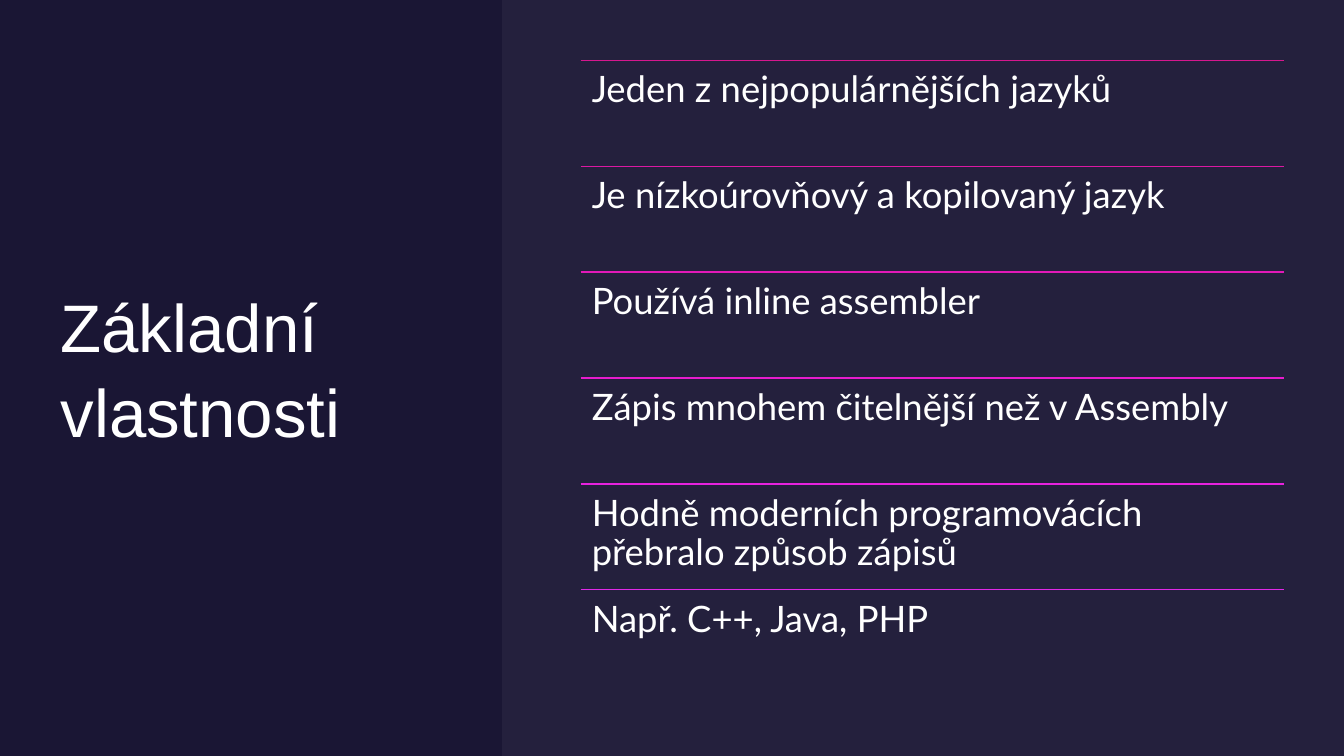
from dataclasses import dataclass

from lxml import etree
from pptx import Presentation
from pptx.dml.color import RGBColor
from pptx.enum.shapes import MSO_CONNECTOR, MSO_SHAPE
from pptx.enum.text import MSO_ANCHOR, MSO_AUTO_SIZE, PP_ALIGN
from pptx.oxml.ns import qn
from pptx.util import Emu, Pt

RECT = MSO_SHAPE.RECTANGLE
LINE = MSO_CONNECTOR.STRAIGHT
LEFT = PP_ALIGN.LEFT
TOP, MIDDLE = MSO_ANCHOR.TOP, MSO_ANCHOR.MIDDLE
FIXED = MSO_AUTO_SIZE.NONE

SCALE = 9144  # EMU per px, 100 px to the inch
WIDE, HIGH = 1333, 750
LIST_X, LIST_Y, LIST_W, STEP = 576, 60, 697, 105

COLORS = {"night": "1A1634", "mist": "E3E0F2", "white": "FFFFFF"}


@dataclass(frozen=True)
class Box:
    x: int
    y: int
    w: int
    h: int


@dataclass(frozen=True)
class Item:
    text: str
    rule: str


ITEMS = [
    Item("Jeden z nejpopulárnějších jazyků", "D5178E"),
    Item("Je nízkoúrovňový a kopilovaný jazyk", "DB18A3"),
    Item("Používá inline assembler", "E219B8"),
    Item("Zápis mnohem čitelnější než v Assembly", "E61CCD"),
    Item("Hodně moderních programovácích přebralo způsob zápisů", "E622DE"),
    Item("Např. C++, Java, PHP", "DF29E7"),
]


def px(count: int) -> Emu:
    return Emu(count * SCALE)


def rgb(code: str) -> RGBColor:
    return RGBColor.from_string(code)


def place(shape, box: Box) -> None:
    shape.left, shape.top = px(box.x), px(box.y)
    shape.width, shape.height = px(box.w), px(box.h)


def add_panel(slide, box: Box, color: str, alpha: int = 100) -> None:
    """Draw a borderless rectangle; alpha is its opacity in percent."""
    panel = slide.shapes.add_shape(RECT, px(box.x), px(box.y), px(box.w), px(box.h))
    panel.shadow.inherit = False
    panel.line.fill.background()
    panel.fill.solid()
    panel.fill.fore_color.rgb = rgb(color)
    if alpha < 100:
        tone = panel.fill._xPr.find(".//" + qn("a:srgbClr"))
        etree.SubElement(tone, qn("a:alpha")).set("val", str(alpha * 1000))


def write(shape, text: str, font: str, size: int, space: float, inset: int, anchor) -> None:
    """Fill a shape with one left-aligned white paragraph."""
    frame = shape.text_frame
    frame.text = text
    frame.word_wrap = True
    frame.auto_size = FIXED
    frame.vertical_anchor = anchor
    frame.margin_left = frame.margin_right = px(inset)
    frame.margin_top = frame.margin_bottom = px(inset)
    para = frame.paragraphs[0]
    para.alignment = LEFT
    para.line_spacing = space
    para.font.name = font
    para.font.size = Pt(size)
    para.font.color.rgb = rgb(COLORS["white"])


def add_item(slide, item: Item, y: int) -> None:
    rule = slide.shapes.add_connector(LINE, px(LIST_X), px(y), px(LIST_X + LIST_W), px(y))
    rule.line.color.rgb = rgb(item.rule)
    rule.line.width = Pt(1)
    etree.SubElement(rule._element.spPr, qn("a:effectLst"))
    label = slide.shapes.add_textbox(px(LIST_X), px(y), px(LIST_W), px(STEP))
    write(label, item.text, "Lato", 26, 0.9, 11, TOP)


def main() -> None:
    deck = Presentation()
    deck.slide_width, deck.slide_height = px(WIDE), px(HIGH)
    slide = deck.slides.add_slide(deck.slide_layouts[5])
    slide.background.fill.solid()
    slide.background.fill.fore_color.rgb = rgb(COLORS["night"])

    add_panel(slide, Box(0, 0, WIDE, HIGH), COLORS["night"])
    title = slide.shapes.title
    place(title, Box(60, 60, 390, 606))
    write(title, "Základní vlastnosti", "Arial", 48, 1.05, 0, MIDDLE)
    slide.shapes._spTree.append(title._element)  # raise above the backdrop

    add_panel(slide, Box(498, 0, WIDE - 498, HIGH), COLORS["mist"], alpha=5)
    for row, item in enumerate(ITEMS):
        add_item(slide, item, LIST_Y + row * STEP)
    deck.save("out.pptx")


if __name__ == "__main__":
    main()
